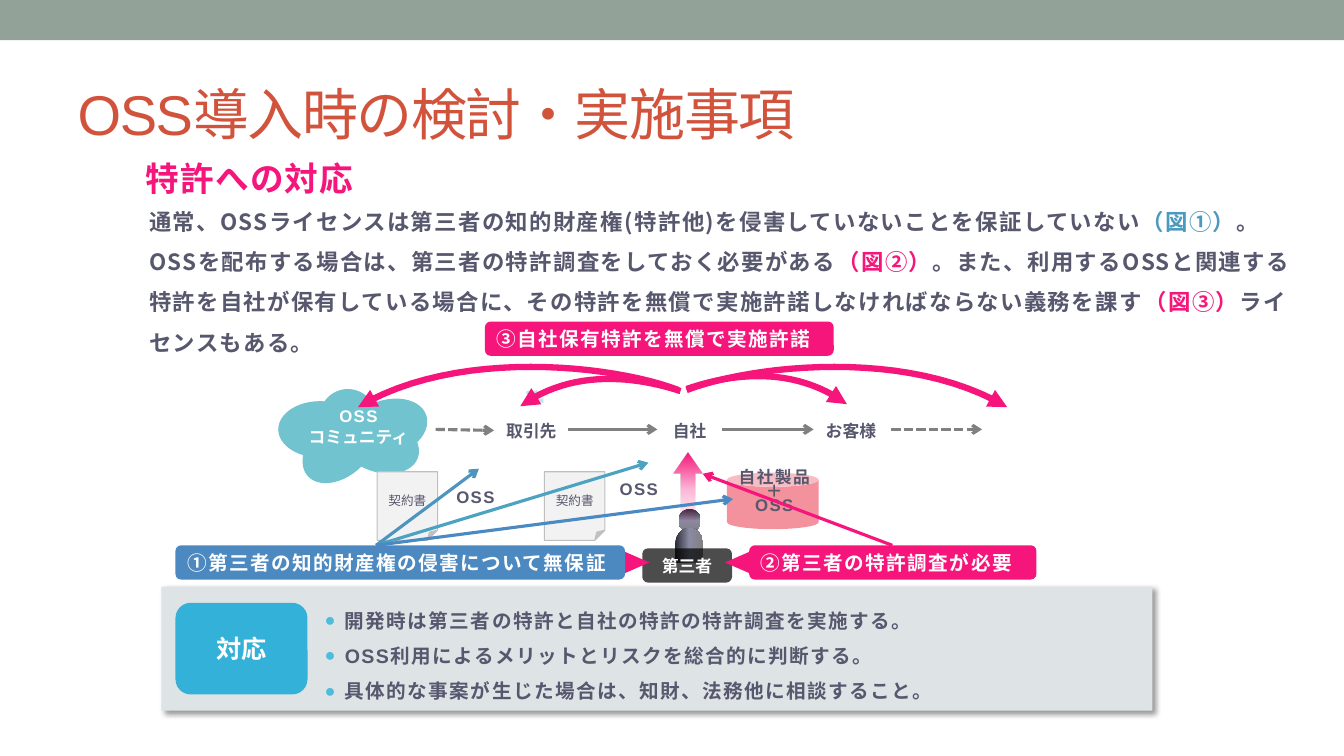
"""Build the slide on patent checks when introducing OSS."""
from lxml import etree
from pptx import Presentation
from pptx.dml.color import RGBColor
from pptx.enum.dml import MSO_LINE
from pptx.enum.shapes import MSO_CONNECTOR, MSO_SHAPE
from pptx.enum.text import MSO_ANCHOR, MSO_AUTO_SIZE, PP_ALIGN
from pptx.oxml import parse_xml
from pptx.oxml.ns import nsdecls, qn
from pptx.util import Inches, Pt

RECT, ROUND, OVAL = MSO_SHAPE.RECTANGLE, MSO_SHAPE.ROUNDED_RECTANGLE, MSO_SHAPE.OVAL
TRIANGLE, TRAPEZOID = MSO_SHAPE.ISOSCELES_TRIANGLE, MSO_SHAPE.TRAPEZOID
FOLDED, CAN, UP_ARROW = MSO_SHAPE.FOLDED_CORNER, MSO_SHAPE.CAN, MSO_SHAPE.UP_ARROW
DELAY, DASH = MSO_SHAPE.FLOWCHART_DELAY, MSO_LINE.SQUARE_DOT
LEFT, CENTER = PP_ALIGN.LEFT, PP_ALIGN.CENTER
TOP, MIDDLE = MSO_ANCHOR.TOP, MSO_ANCHOR.MIDDLE
STRAIGHT, NO_FIT = MSO_CONNECTOR.STRAIGHT, MSO_AUTO_SIZE.NONE
CJK = "Noto Sans CJK JP"
PINK, INK, GREY, WHITE = "F6167B", "57576E", "808080", "FFFFFF"


def paint(fill, color):
    fill.solid()
    fill.fore_color.rgb = RGBColor.from_string(color)


def add(kind, box, fill=None, text="", size=12, color=INK, font="Arial", bold=True,
        spacing=0, align=CENTER, anchor=MIDDLE, inset=(0, 0), leading=None,
        wrap=True, rotation=0, alpha=None, shape=None):
    frame = [Inches(v) for v in box]
    if shape is not None:
        shape.left, shape.top, shape.width, shape.height = frame
    elif kind is None:
        shape = s.shapes.add_textbox(*frame)
    else:
        shape = s.shapes.add_shape(kind, *frame)
        shape.shadow.inherit = False
        shape.line.fill.background()
        shape.rotation = rotation
    if fill:
        paint(shape.fill, fill)
    if alpha:
        rgb = shape._element.spPr.find(".//" + qn("a:srgbClr"))
        etree.SubElement(rgb, qn("a:alpha")).set("val", str(alpha * 1000))
    if text:
        tf = shape.text_frame
        tf.text, tf.word_wrap, tf.auto_size = text, wrap, NO_FIT
        tf.vertical_anchor = anchor
        tf.margin_left = tf.margin_right = Inches(inset[0])
        tf.margin_top = tf.margin_bottom = Inches(inset[1])
        for p in tf.paragraphs:
            p.alignment, p.line_spacing = align, leading
            p.space_before = Pt(0)
            p.font.name, p.font.size, p.font.bold = font, Pt(size), bold
            paint(p.font.fill, color)
            rpr = p._p.pPr.find(qn("a:defRPr"))
            rpr.set("spc", str(spacing * 100))
            ea = etree.Element(qn("a:ea"), typeface=CJK)
            rpr.find(qn("a:latin")).addnext(ea)
    return shape


prs = Presentation()
prs.slide_width, prs.slide_height = Inches(13.33), Inches(7.5)
s = prs.slides.add_slide(prs.slide_layouts[1])
title, body = s.placeholders

add(RECT, (0, 0, 13.33, 0.4), "93A299")
add(None, (0.67, 0.58, 12, 1.08), text="OSS導入時の検討・実施事項", size=40, color="D2533C",
    bold=False, spacing=-1, align=LEFT, inset=(0.1, 0.05), shape=title)
add(None, (1.34, 1.52, 2.31, 0.5), text="特許への対応", size=24, color=PINK, spacing=1,
    align=LEFT, anchor=TOP, inset=(0.1, 0.05), wrap=False)

panel = add(RECT, (1.6, 5.82, 9.83, 1.23), "DEE4E6")
panel._element.spPr.find(qn("a:effectLst")).append(parse_xml(
    f'<a:outerShdw {nsdecls("a")} blurRad="50800" dist="38100" dir="2700000" algn="tl">'
    '<a:srgbClr val="000000"><a:alpha val="40000"/></a:srgbClr></a:outerShdw>'))
add(ROUND, (1.74, 5.98, 1.31, 0.91), "33B1D9", "対応", 18, WHITE)
add(None, (3.22, 5.92, 7.4, 1.12), text="開発時は第三者の特許と自社の特許の特許調査を実施する。\n"
    "OSS利用によるメリットとリスクを総合的に判断する。\n"
    "具体的な事案が生じた場合は、知財、法務他に相談すること。",
    size=14, spacing=1, align=LEFT, anchor=TOP, leading=1.5, shape=body)
s.shapes._spTree.append(body._element)
for p in body.text_frame.paragraphs:
    ppr = p._p.pPr
    ppr.set("marL", str(Inches(0.2)))
    ppr.set("indent", str(Inches(-0.2)))
    for bullet in ('buClr {}><a:srgbClr val="4DBDDB"/></a:buClr>', 'buSzPct {} val="93000"/>',
                   'buFont {} typeface="Arial"/>', 'buChar {} char="●"/>'):
        ppr.find(qn("a:defRPr")).addprevious(parse_xml("<a:" + bullet.format(nsdecls("a"))))

passages = [
    ("通常、OSSライセンスは第三者の知的財産権(特許他)を侵害していないことを保証していない", INK),
    ("（図①）", "4C99C0"),
    ("。OSSを配布する場合は、第三者の特許調査をしておく必要がある", INK),
    ("（図②）", PINK),
    ("。また、利用するOSSと関連する特許を自社が保有している場合に、その特許を無償で"
     "実施許諾しなければならない義務を課す", INK),
    ("（図③）", PINK),
    ("ライセンスもある。", INK),
]
intro = add(None, (1.48, 1.89, 11.36, 0.76), text=passages[0][0], size=16, font=CJK, spacing=1,
            align=LEFT, anchor=TOP, inset=(0, 0.04), leading=1.5)
p = intro.text_frame.paragraphs[0]
for text, color in passages[1:]:
    r = p.add_run()
    r.text = text
    paint(r.font.fill, color)

for y in (3.87, 3.95):
    for x in (5.22, 5.28, 5.34):
        add(TRAPEZOID, (x, y, 0.05, 0.05), "C2E2EC", rotation=270)
for x, y, w, rotation in [(3.17, 3.86, 0.56, 0), (2.76, 3.98, 0.83, 0), (3.42, 3.97, 0.83, 341.8),
                          (3.34, 4.12, 0.83, 20.3), (2.95, 4.17, 0.83, 319.5)]:
    add(OVAL, (x, y, w, 0.56), "72C3D0", rotation=rotation)
add(None, (2.79, 3.98, 1.53, 0.5), text="OSS\nコミュニティ", color=WHITE, anchor=TOP,
    inset=(0.1, 0.05))
community = s.shapes[-1].text_frame.paragraphs[0]
community._p.pPr.find(qn("a:defRPr")).set("spc", "100")
for x, party in [(4.9, "取引先"), (6.47, "自社"), (8.07, "お客様")]:
    add(ROUND, (x, 4.13, 0.74, 0.29), WHITE, party, font=CJK, alpha=89)
for x, y, gap in [(3.74, 4.84, 0.58), (5.4, 4.76, 0.54)]:
    contract = add(FOLDED, (x, 4.68, 0.6, 0.68), "F2F2F2", "契約書", 9, bold=False)
    paint(contract.line.fill, "BFBFBF")
    contract.line.width = Pt(0.75)
    add(None, (x + gap, y, 0.79, 0.24), text="OSS", spacing=1, anchor=TOP,
        inset=(0.1, 0.05), leading=Pt(10))
add(CAN, (7.21, 4.69, 0.91, 0.56), "F3919D")
add(None, (6.96, 4.64, 1.44, 0.52), text="自社製品\n＋\nOSS", spacing=1, anchor=TOP,
    inset=(0.1, 0.05), leading=Pt(10))

person = [(0, "292934", 100), (50, "8A8AA3", 100), (100, GREY, 100)]
fade = [(0, PINK, 100), (50, PINK, 31), (100, PINK, 0)]
head = add(OVAL, (6.73, 5.05, 0.22, 0.23), GREY)
torso = add(DELAY, (6.66, 5.27, 0.35, 0.28), GREY, rotation=270)
add(ROUND, (6.37, 5.44, 0.89, 0.34), "000000", "第三者", color=WHITE, alpha=70)
claim = add(UP_ARROW, (6.68, 4.49, 0.29, 0.72), PINK)
claim.adjustments[1] = 0.72
for shape, stops in [(head, person), (torso, person), (claim, fade)]:
    gs = "".join(f'<a:gs pos="{pos * 1000}"><a:srgbClr val="{c}"><a:alpha val="{a * 1000}"/>'
                 "</a:srgbClr></a:gs>" for pos, c, a in stops)
    solid = shape._element.spPr.find(qn("a:solidFill"))
    solid.getparent().replace(solid, parse_xml(
        f'<a:gradFill {nsdecls("a")} rotWithShape="1"><a:gsLst>{gs}</a:gsLst>'
        '<a:lin ang="5400000" scaled="0"/></a:gradFill>'))

arrows = [
    ([(8.84, 4.26), (9.74, 4.26)], GREY, DASH),
    ([(4.32, 4.26), (4.9, 4.27)], GREY, DASH),
    ([(5.63, 4.26), (6.52, 4.26)], GREY, None),
    ([(7.16, 4.26), (8.07, 4.26)], GREY, None),
    ([(6.75, 3.88), (6.32, 3.74), (5.69, 3.65), (5.16, 4.03)], PINK, None),
    ([(6.73, 3.87), (6.08, 3.62), (4.53, 3.45), (3.55, 4.04)], PINK, None),
    ([(6.81, 3.86), (7.24, 3.71), (7.87, 3.62), (8.4, 4.01)], PINK, None),
    ([(6.81, 3.87), (7.46, 3.62), (9.01, 3.45), (9.99, 4.04)], PINK, None),
    ([(3.73, 5.41), (6.43, 4.59)], "4BA2C1", None),
    ([(3.73, 5.41), (4.75, 4.65)], "4D94BF", None),
    ([(3.73, 5.41), (7.27, 4.95)], "4A89C2", None),
    ([(8.85, 5.41), (6.97, 4.7)], PINK, None),
]
for points, color, dash in arrows:
    curved = len(points) == 4
    if curved:
        curve = []
        for t in [i / 24 for i in range(25)]:
            weights = ((1 - t) ** 3, 3 * t * (1 - t) ** 2, 3 * t ** 2 * (1 - t), t ** 3)
            curve.append([Inches(sum(w * c for w, c in zip(weights, axis)))
                          for axis in zip(*points)])
        builder = s.shapes.build_freeform(*curve[0])
        builder.add_line_segments(curve[1:], close=False)
        arrow = builder.convert_to_shape()
        arrow.fill.background()
        arrow.shadow.inherit = False
    else:
        arrow = s.shapes.add_connector(STRAIGHT, *[Inches(v) for xy in points for v in xy])
        etree.SubElement(arrow._element.spPr, qn("a:effectLst"))
    paint(arrow.line.fill, color)
    arrow.line.width = Pt(4.5 if curved else 2.25)
    if dash:
        arrow.line.dash_style = dash
    etree.SubElement(arrow.line._get_or_add_ln(), qn("a:tailEnd"),
                     type="triangle" if curved else "arrow")

for x, rotation in [(6.14, 90), (7.21, 270)]:
    add(TRIANGLE, (x, 5.42, 0.28, 0.32), PINK, rotation=rotation)
for x, y, w, color, text in [(4.81, 3.19, 3.46, PINK, "③自社保有特許を無償で実施許諾"),
                             (7.43, 5.41, 2.85, PINK, "②第三者の特許調査が必要"),
                             (1.74, 5.41, 4.46, "4C89C0", "①第三者の知的財産権の侵害について無保証")]:
    add(ROUND, (x, y, w, 0.34), color, text, 14, WHITE, spacing=1, align=LEFT, inset=(0.1, 0))

prs.save("out.pptx")
